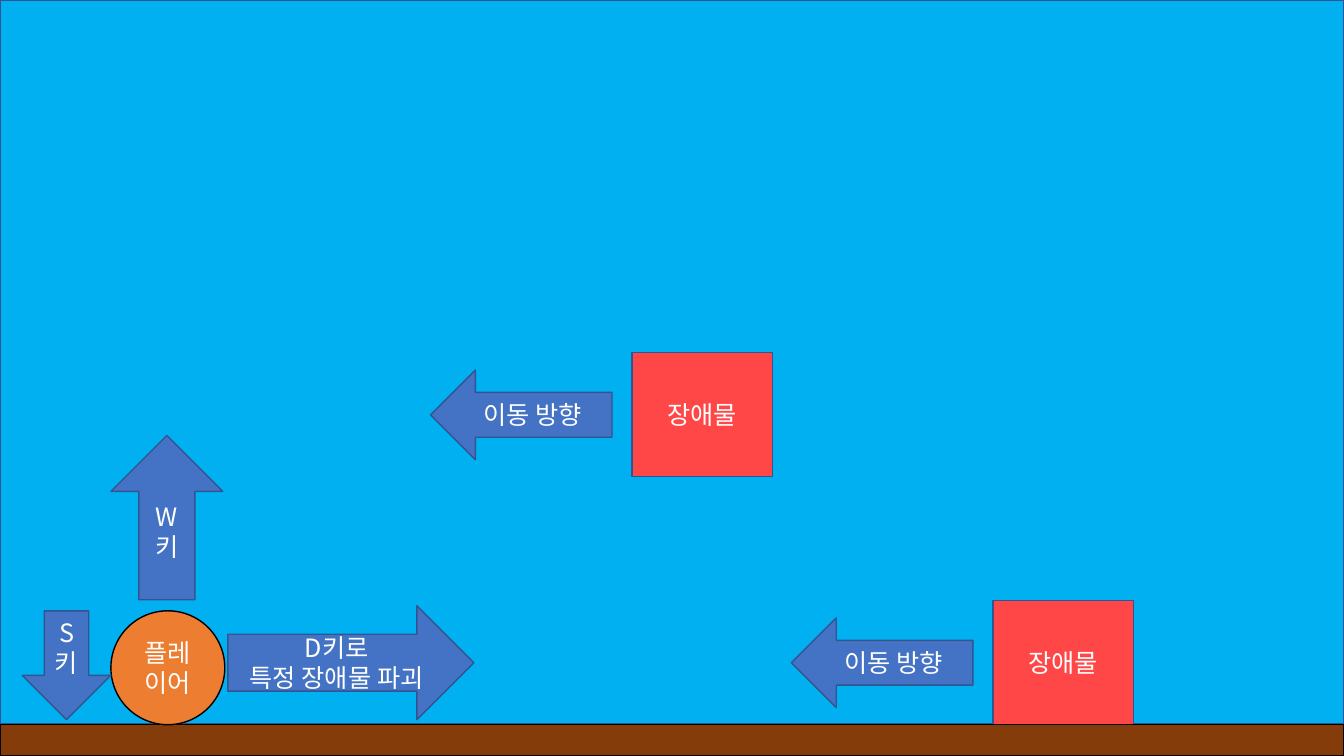
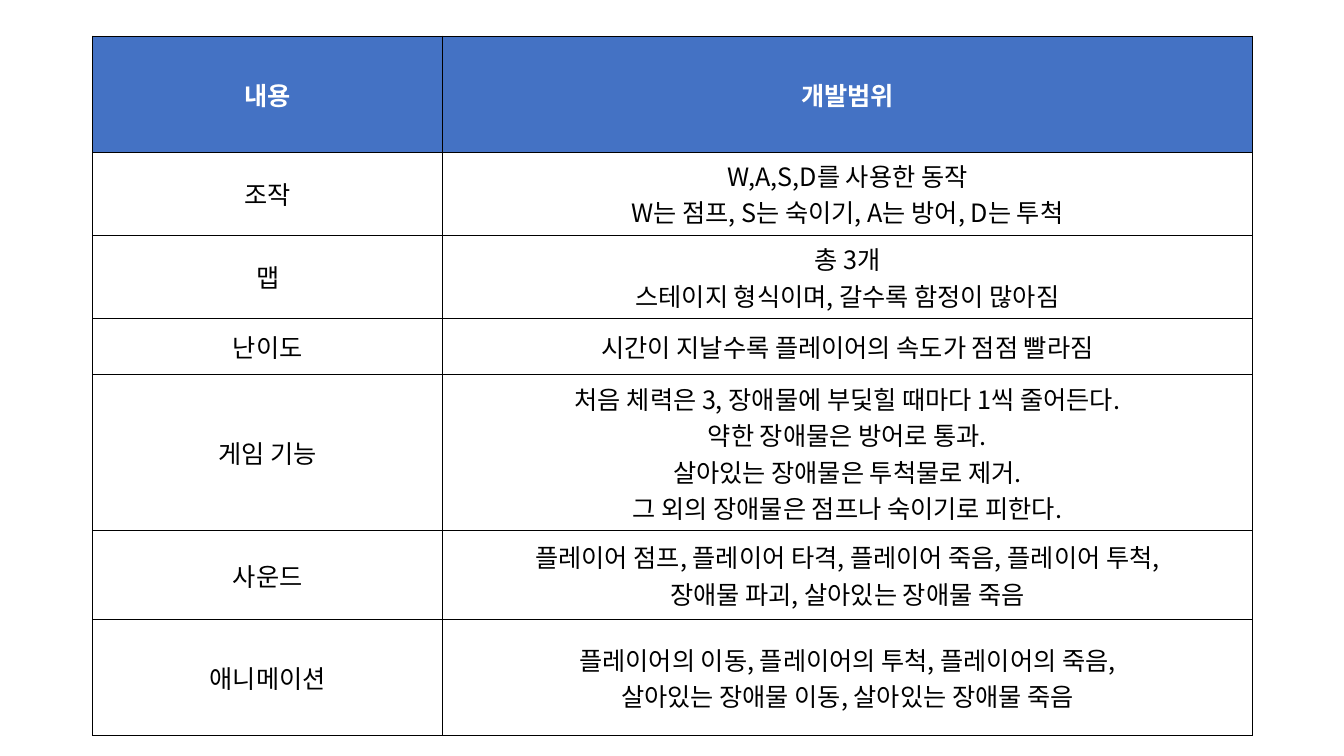
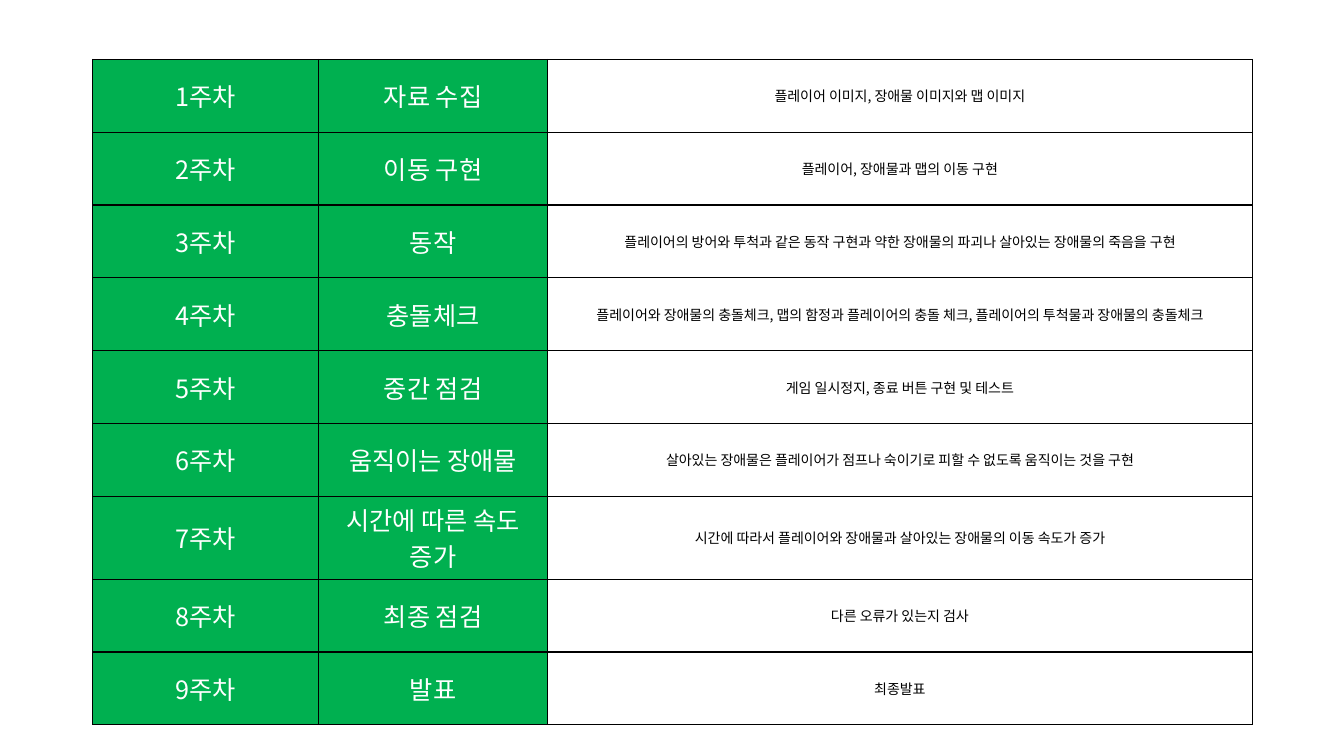
from dataclasses import dataclass

from lxml.etree import SubElement
from pptx import Presentation
from pptx.dml.color import RGBColor
from pptx.enum.shapes import MSO_SHAPE as Preset
from pptx.enum.text import MSO_ANCHOR as Anchor, PP_ALIGN as Align
from pptx.oxml.ns import qn
from pptx.util import Inches, Pt


@dataclass(frozen=True)
class Theme:
    """Colours, font and type sizes of the deck."""
    font: str = "Noto Sans CJK KR"
    text_size: int = 18
    note_size: int = 10
    white: str = "FFFFFF"
    black: str = "000000"
    blue: str = "4472C4"
    outline: str = "325491"
    sky: str = "00B0F0"
    ground: str = "843C0B"
    obstacle: str = "FF4747"
    player: str = "ED7D31"
    green: str = "00B050"


@dataclass(frozen=True)
class CellStyle:
    """Look of one table cell."""
    fill: str
    color: str
    size: int
    bold: bool = False


class Deck:
    """Presentation with a theme and a current slide."""

    def __init__(self, theme):
        """Start an empty widescreen deck."""
        self.theme = theme
        self.deck = Presentation()
        self.deck.slide_width, self.deck.slide_height = Inches(13.33), Inches(7.5)
        self.slide = None

    def new_slide(self):
        """Add a blank slide and make it current."""
        self.slide = self.deck.slides.add_slide(self.deck.slide_layouts[6])

    def add_lines(self, frame, lines, color, size, bold=False):
        """Add centred paragraphs, one run each."""
        for index, line in enumerate(lines):
            paragraph = frame.add_paragraph() if index else frame.paragraphs[0]
            paragraph.alignment = Align.CENTER
            run = paragraph.add_run()
            run.text = line
            run.font.name, run.font.size, run.font.bold = self.theme.font, Pt(size), bold
            run.font.color.rgb = RGBColor.from_string(color)
            SubElement(run.font._element, qn("a:ea"), typeface=self.theme.font)

    def block(self, preset, box, fill, lines=(), outline=None):
        """Add an outlined shape with centred white text."""
        shape = self.slide.shapes.add_shape(preset, *map(Inches, box))
        shape.shadow.inherit = False
        shape.fill.solid()
        shape.fill.fore_color.rgb = RGBColor.from_string(fill)
        shape.line.color.rgb = RGBColor.from_string(outline or self.theme.outline)
        shape.line.width = Pt(1)
        shape.text_frame.word_wrap = True
        shape.text_frame.vertical_anchor = Anchor.MIDDLE
        self.add_lines(shape.text_frame, lines, self.theme.white, self.theme.text_size)
        return shape

    def arrow(self, preset, box, *lines):
        """Add a labelled blue block arrow."""
        return self.block(preset, box, self.theme.blue, lines)

    def border(self, cell):
        """Draw a thin black line on each side of a cell."""
        properties = cell._tc.get_or_add_tcPr()
        for side in ("lnL", "lnR", "lnT", "lnB"):
            line = SubElement(properties, qn(f"a:{side}"), w=str(Pt(1)))
            fill = SubElement(line, qn("a:solidFill"))
            SubElement(fill, qn("a:srgbClr"), val=self.theme.black)

    def table(self, left, top, widths, heights, rows, style_of):
        """Add a bordered table; style_of(row, column) gives each cell's look."""
        table = self.slide.shapes.add_table(
            len(rows), len(widths), Inches(left), Inches(top),
            Inches(sum(widths)), Inches(sum(heights))).table
        table.first_row = table.horz_banding = False
        for column, width in zip(table.columns, widths):
            column.width = Inches(width)
        for r, (row, height) in enumerate(zip(rows, heights)):
            table.rows[r].height = Inches(height)
            for c, text in enumerate(row):
                cell, style = table.cell(r, c), style_of(r, c)
                self.border(cell)
                cell.fill.solid()
                cell.fill.fore_color.rgb = RGBColor.from_string(style.fill)
                cell.vertical_anchor = Anchor.MIDDLE
                self.add_lines(cell.text_frame, text.split("\n"),
                               style.color, style.size, style.bold)


SCOPE = [
    ("내용", "개발범위"),
    ("조작", "W,A,S,D를 사용한 동작\nW는 점프, S는 숙이기, A는 방어, D는 투척"),
    ("맵", "총 3개\n스테이지 형식이며, 갈수록 함정이 많아짐"),
    ("난이도", "시간이 지날수록 플레이어의 속도가 점점 빨라짐"),
    ("게임 기능", "처음 체력은 3, 장애물에 부딫힐 때마다 1씩 줄어든다.\n약한 장애물은 방어로 통과.\n"
              "살아있는 장애물은 투척물로 제거.\n그 외의 장애물은 점프나 숙이기로 피한다."),
    ("사운드", "플레이어 점프, 플레이어 타격, 플레이어 죽음, 플레이어 투척,\n"
            "장애물 파괴, 살아있는 장애물 죽음"),
    ("애니메이션", "플레이어의 이동, 플레이어의 투척, 플레이어의 죽음,\n"
              "살아있는 장애물 이동, 살아있는 장애물 죽음"),
]
SCHEDULE = [
    ("자료 수집", "플레이어 이미지, 장애물 이미지와 맵 이미지"),
    ("이동 구현", "플레이어, 장애물과 맵의 이동 구현"),
    ("동작", "플레이어의 방어와 투척과 같은 동작 구현과 약한 장애물의 파괴나 살아있는 장애물의 죽음을 구현"),
    ("충돌체크", "플레이어와 장애물의 충돌체크, 맵의 함정과 플레이어의 충돌 체크, "
             "플레이어의 투척물과 장애물의 충돌체크"),
    ("중간 점검", "게임 일시정지, 종료 버튼 구현 및 테스트"),
    ("움직이는 장애물", "살아있는 장애물은 플레이어가 점프나 숙이기로 피할 수 없도록 움직이는 것을 구현"),
    ("시간에 따른 속도 증가", "시간에 따라서 플레이어와 장애물과 살아있는 장애물의 이동 속도가 증가"),
    ("최종 점검", "다른 오류가 있는지 검사"),
    ("발표", "최종발표"),
]


def game_screen(deck):
    """Show the player, its keys and the obstacles."""
    theme = deck.theme
    deck.new_slide()
    deck.block(Preset.RECTANGLE, (0, 0, 13.33, 7.18), theme.sky)
    for left, top in ((6.27, 3.5), (9.85, 5.96)):
        deck.block(Preset.RECTANGLE, (left, top, 1.39, 1.23), theme.obstacle, ["장애물"])
        deck.arrow(Preset.LEFT_ARROW, (left - 2, top + 0.17, 1.8, 0.89), "이동 방향")
    deck.block(Preset.RECTANGLE, (0, 7.19, 13.33, 0.31), theme.ground, outline=theme.black)
    deck.block(Preset.OVAL, (1.1, 6.06, 1.13, 1.13), theme.player, ["플레", "이어"], theme.black)
    deck.arrow(Preset.UP_ARROW, (1.1, 4.32, 1.11, 1.63), "W키")
    deck.arrow(Preset.RIGHT_ARROW, (2.26, 6.01, 2.44, 1.13), "D키로", "특정 장애물 파괴")
    duck_key = deck.arrow(Preset.DOWN_ARROW, (0.22, 6.06, 0.88, 1.08), "S", "키")
    duck_key.text_frame.margin_bottom = Inches(0.18)


def scope_table(deck):
    """List what will be developed."""
    theme = deck.theme
    header = CellStyle(theme.blue, theme.white, theme.text_size, True)
    body = CellStyle(theme.white, theme.black, theme.text_size)
    deck.new_slide()
    deck.table(0.92, 0.36, (3.47, 8.03), (1.15, 0.81, 0.76, 0.56, 1.15, 0.88, 1.15),
               SCOPE, lambda row, column: body if row else header)


def schedule_table(deck):
    """List the work of each week."""
    theme = deck.theme
    label = CellStyle(theme.green, theme.white, theme.text_size)
    note = CellStyle(theme.white, theme.black, theme.note_size)
    weeks = [(f"{week}주차", *work) for week, work in enumerate(SCHEDULE, 1)]
    deck.new_slide()
    deck.table(0.92, 0.59, (2.24, 2.27, 6.99), [6.5 / len(weeks)] * len(weeks),
               weeks, lambda row, column: label if column < 2 else note)


def main():
    """Build and save the deck."""
    deck = Deck(Theme())
    game_screen(deck)
    scope_table(deck)
    schedule_table(deck)
    deck.deck.save("out.pptx")


main()
